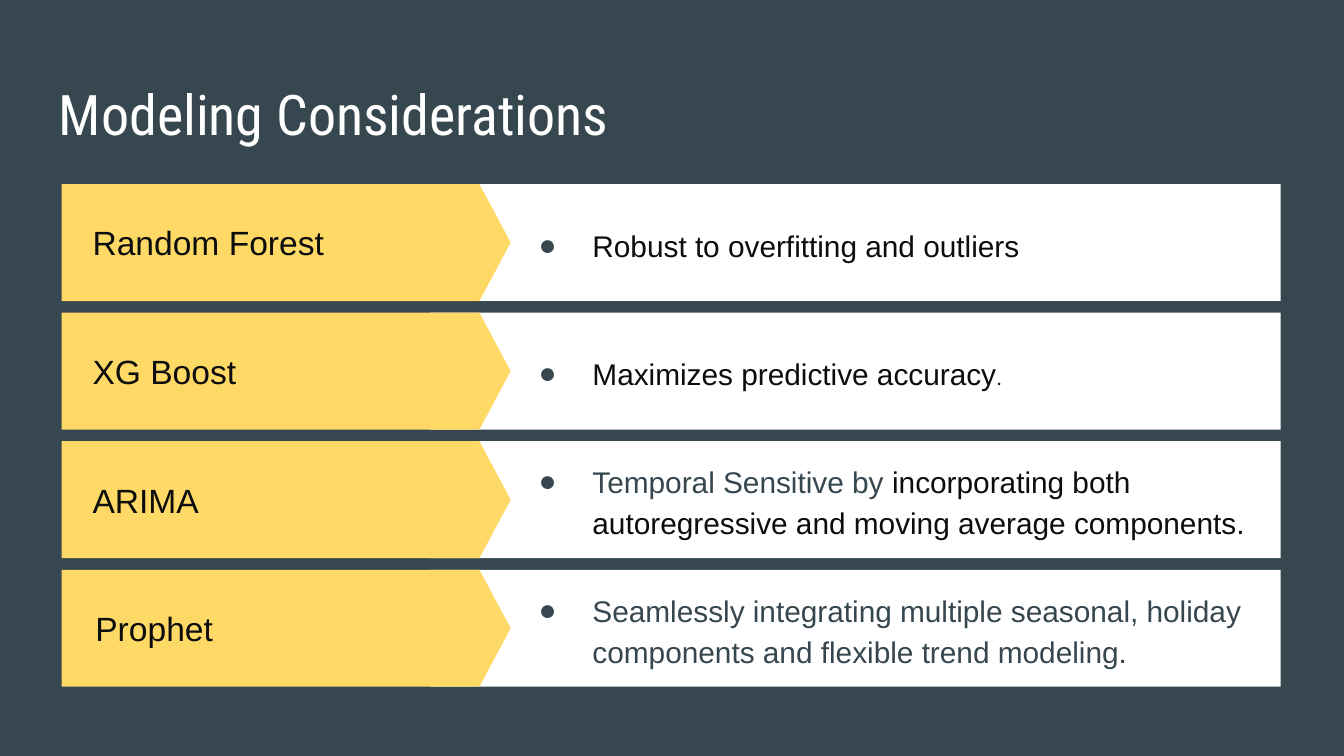
from pptx import Presentation
from pptx.dml.color import RGBColor
from pptx.enum.shapes import MSO_SHAPE
from pptx.enum.text import MSO_ANCHOR, PP_ALIGN
from pptx.oxml.ns import qn
from pptx.util import Inches, Pt
from lxml.etree import SubElement

HUES = {"slate": "37474F", "gold": "FFD966", "white": "FFFFFF", "ink": "0D0D0D"}
TITLE = "Modeling Considerations"
MODELS = [
    ("Random Forest", 5.59, [("Robust to overfitting and outliers", "ink", 16, "Arial")]),
    ("XG Boost", 5.59, [("Maximizes predictive accuracy", "ink", 16, "Arial"),
                        (".", "ink", 12, "Roboto")]),
    ("ARIMA", 5.73, [("Temporal Sensitive by ", "slate", 16, "Arial"),
                     ("incorporating both autoregressive and moving average components.",
                      "ink", 16, "Arial")]),
    ("Prophet", 5.92, [("Seamlessly integrating multiple seasonal, holiday components "
                        "and flexible trend modeling.", "slate", 16, "Arial")]),
]
TOP, LAST, HIGH = 1.37, 4.24, 0.87
STEP = (LAST - TOP) / (len(MODELS) - 1)


def color(name):
    return RGBColor.from_string(HUES[name])


def style(font, hue, size, face):
    font.name, font.size = face, Pt(size)
    font.color.rgb = color(hue)


def add_block(kind, left, top, width, hue):
    block = slide.shapes.add_shape(kind, Inches(left), Inches(top), Inches(width), Inches(HIGH))
    block.shadow.inherit = False
    block.fill.solid()
    block.fill.fore_color.rgb = color(hue)
    block.line.fill.background()
    return block


def set_frame(frame, anchor, left=0.1):
    frame.word_wrap = True
    frame.vertical_anchor = anchor
    frame.margin_left, frame.margin_right = Inches(left), Inches(0.1)
    frame.margin_top = frame.margin_bottom = Inches(0.1)
    return frame.paragraphs[0]


def add_text(left, top, width, height, anchor=MSO_ANCHOR.MIDDLE):
    box = slide.shapes.add_textbox(Inches(left), Inches(top), Inches(width), Inches(height))
    return set_frame(box.text_frame, anchor)


def add_bullet(para):
    props = para._p.get_or_add_pPr()
    props.set("marL", str(Inches(0.5)))
    props.set("indent", str(Inches(-0.4)))
    tint = SubElement(props, qn("a:buClr"))
    SubElement(tint, qn("a:srgbClr"), val=HUES["slate"])
    SubElement(props, qn("a:buFont"), typeface="Arial")
    SubElement(props, qn("a:buChar"), char="●")


deck = Presentation()
deck.slide_width, deck.slide_height = Inches(10), Inches(10 * 9 / 16)
slide = deck.slides.add_slide(deck.slide_layouts[6])
slide.background.fill.solid()
slide.background.fill.fore_color.rgb = color("slate")

title = add_text(0.34, 0.49, 9.32, 0.63, MSO_ANCHOR.TOP)
title.text = TITLE
style(title.font, "white", 30, "Roboto Condensed")

for row, (name, width, parts) in enumerate(MODELS):
    top = TOP + row * STEP
    add_block(MSO_SHAPE.RECTANGLE, 3.2, top, 6.33, "white")
    arrow = add_block(MSO_SHAPE.PENTAGON, 0.46, top, 3.34, "gold")
    arrow.adjustments[0] = 0.267

    if name == "Prophet":
        label = set_frame(arrow.text_frame, MSO_ANCHOR.MIDDLE, 0.25)
        label.alignment = PP_ALIGN.LEFT
    else:
        label = add_text(0.59, top, 2.65, HIGH)
    label.text = name
    style(label.font, "ink", 18, "Arial")

    point = add_text(3.81, top, width, HIGH)
    add_bullet(point)
    point.line_spacing = 1.15
    for words, hue, size, face in parts:
        run = point.add_run()
        run.text = words
        style(run.font, hue, size, face)

deck.save("out.pptx")
